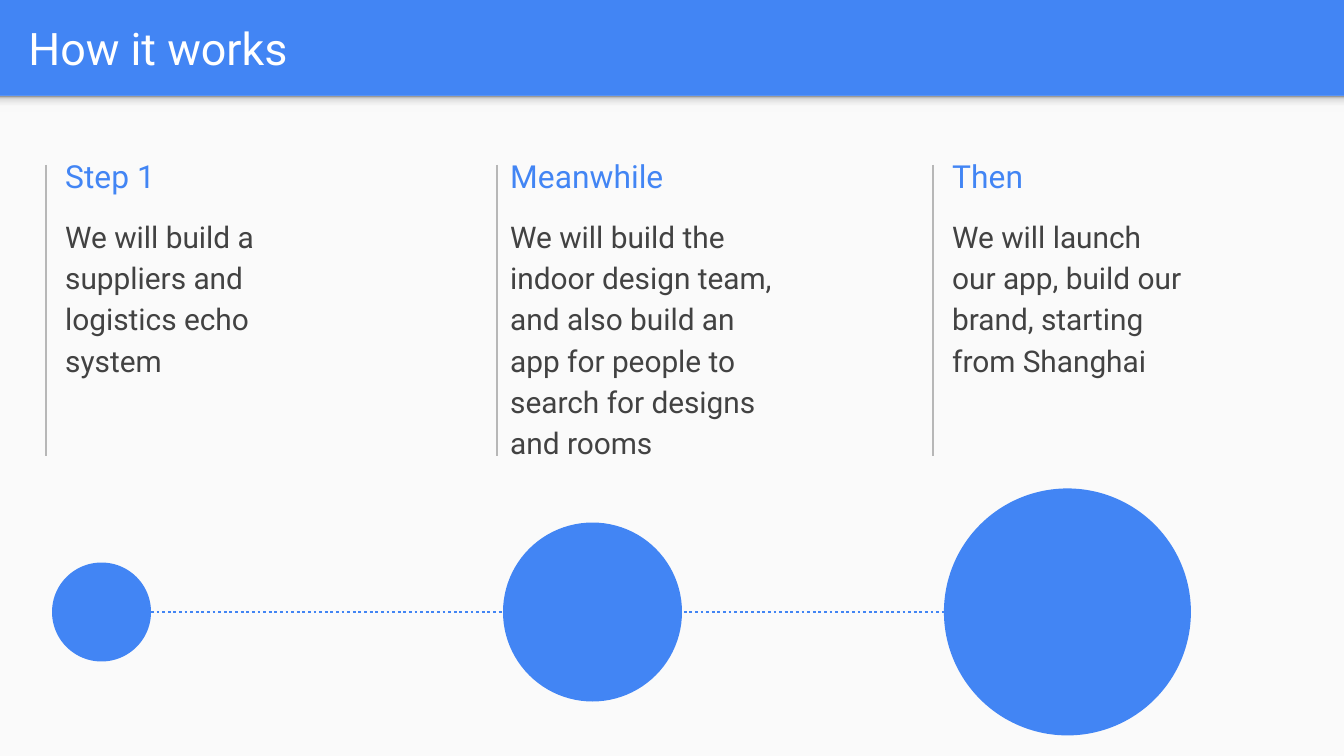
from copy import deepcopy

from pptx import Presentation
from pptx import util as u
from pptx.dml.color import RGBColor
from pptx.enum import dml, shapes, text
from pptx.oxml.ns import qn
from pptx.oxml.xmlchemy import OxmlElement

# Content: left edges and sizes in px
TITLE = "How it works"
STEPS = [
    dict(heading="Step 1", body="We will build a suppliers and logistics echo system",
         rule=46, left=52, width=266, circle=52, diameter=99),
    dict(heading="Meanwhile",
         body="We will build the indoor design team, and also build an app "
              "for people to search for designs and rooms",
         rule=497, left=497, width=302, circle=503, diameter=179),
    dict(heading="Then",
         body="We will launch our app, build our brand, starting from Shanghai",
         rule=933, left=939, width=266, circle=944, diameter=247),
]
SHADOW = [(0, "F9F9F9"), (0.36, "F9F9F9"), (0.8, "DEDEDE"), (1, "999999")]

# Style and layout
FONT, BLUE, WHITE = "Roboto", "4285F4", "FFFFFF"
PANEL, INK, GREY = "FAFAFA", "424242", "B7B7B7"
WIDTH, HEIGHT, BAND = 1344, 756, 96
HEADING_TOP, HEADING_HEIGHT = 144, 64
BODY_TOP, BODY_HEIGHT = 200, 272
RULE_TOP, RULE_BOTTOM, AXIS = 165, 456, 612
SCALE = u.Inches(10) / WIDTH


def px(*lengths):
    return [round(length * SCALE) for length in lengths]


def color(value):
    return RGBColor.from_string(value)


def add_shape(page, kind, area, fill=None):
    shape = page.shapes.add_shape(kind, *px(*area))
    shape.shadow.inherit = False
    shape.line.fill.background()
    if fill:
        shape.fill.solid()
        shape.fill.fore_color.rgb = color(fill)
    return shape


def add_line(page, start, end, ink, width, dash=None):
    line = page.shapes.add_connector(shapes.MSO_CONNECTOR.STRAIGHT, *px(*start, *end))
    line.line.color.rgb = color(ink)
    line.line.width = u.Pt(width)
    if dash:
        line.line.dash_style = dash
    line._element.spPr.append(OxmlElement("a:effectLst"))


def write(box, words, size, ink, anchor):
    frame = box.text_frame
    frame.word_wrap = True
    frame.auto_size = text.MSO_AUTO_SIZE.NONE
    frame.vertical_anchor = anchor
    frame.margin_left = frame.margin_right = u.Inches(0.1)
    frame.margin_top = frame.margin_bottom = u.Inches(0.1)
    para = frame.paragraphs[0]
    para.alignment = text.PP_ALIGN.LEFT
    span = para.add_run()
    span.text = words
    span.font.name, span.font.size = FONT, u.Pt(size)
    span.font.color.rgb = color(ink)
    return para


def add_shadow(page):
    band = add_shape(page, shapes.MSO_SHAPE.RECTANGLE, (0, BAND, WIDTH, 16))
    band.fill.gradient()
    band.fill.gradient_angle = 90
    stops = band._element.spPr.find(".//" + qn("a:gsLst"))
    for stop in list(stops):
        stops.append(deepcopy(stop))
    for stop, (position, value) in zip(band.fill.gradient_stops, SHADOW):
        stop.position = position
        stop.color.rgb = color(value)


def add_step(page, step):
    middle, top = text.MSO_ANCHOR.MIDDLE, text.MSO_ANCHOR.TOP
    add_line(page, (step["rule"], RULE_TOP), (step["rule"], RULE_BOTTOM), GREY, 0.75)
    heading = page.shapes.add_textbox(*px(step["left"], HEADING_TOP, 266, HEADING_HEIGHT))
    write(heading, step["heading"], 17, BLUE, middle)
    body = page.shapes.add_textbox(*px(step["left"], BODY_TOP, step["width"], BODY_HEIGHT))
    para = write(body, step["body"], 16, INK, top)
    para.line_spacing, para.space_before = 1.15, u.Pt(16)
    size = step["diameter"]
    add_shape(page, shapes.MSO_SHAPE.OVAL,
              (step["circle"], AXIS - size / 2, size, size), BLUE)


def main():
    deck = Presentation()
    deck.slide_width, deck.slide_height = px(WIDTH, HEIGHT)
    page = deck.slides.add_slide(deck.slide_layouts[5])
    page.background.fill.solid()
    page.background.fill.fore_color.rgb = color(BLUE)

    # Title band, panel and its shadow
    title = page.shapes.title
    title.left, title.top, title.width, title.height = px(15, 3, 1297, 89)
    write(title, TITLE, 24, WHITE, text.MSO_ANCHOR.MIDDLE)
    add_shape(page, shapes.MSO_SHAPE.RECTANGLE, (0, BAND, WIDTH, HEIGHT - BAND), PANEL)
    add_shadow(page)

    # Dotted axis from the first circle to the last, then the steps over it
    first, last = STEPS[0], STEPS[-1]
    add_line(page, (first["circle"] + first["diameter"], AXIS), (last["circle"], AXIS),
             BLUE, 1.5, dml.MSO_LINE.ROUND_DOT)
    for step in STEPS:
        add_step(page, step)

    deck.save("out.pptx")


if __name__ == "__main__":
    main()
